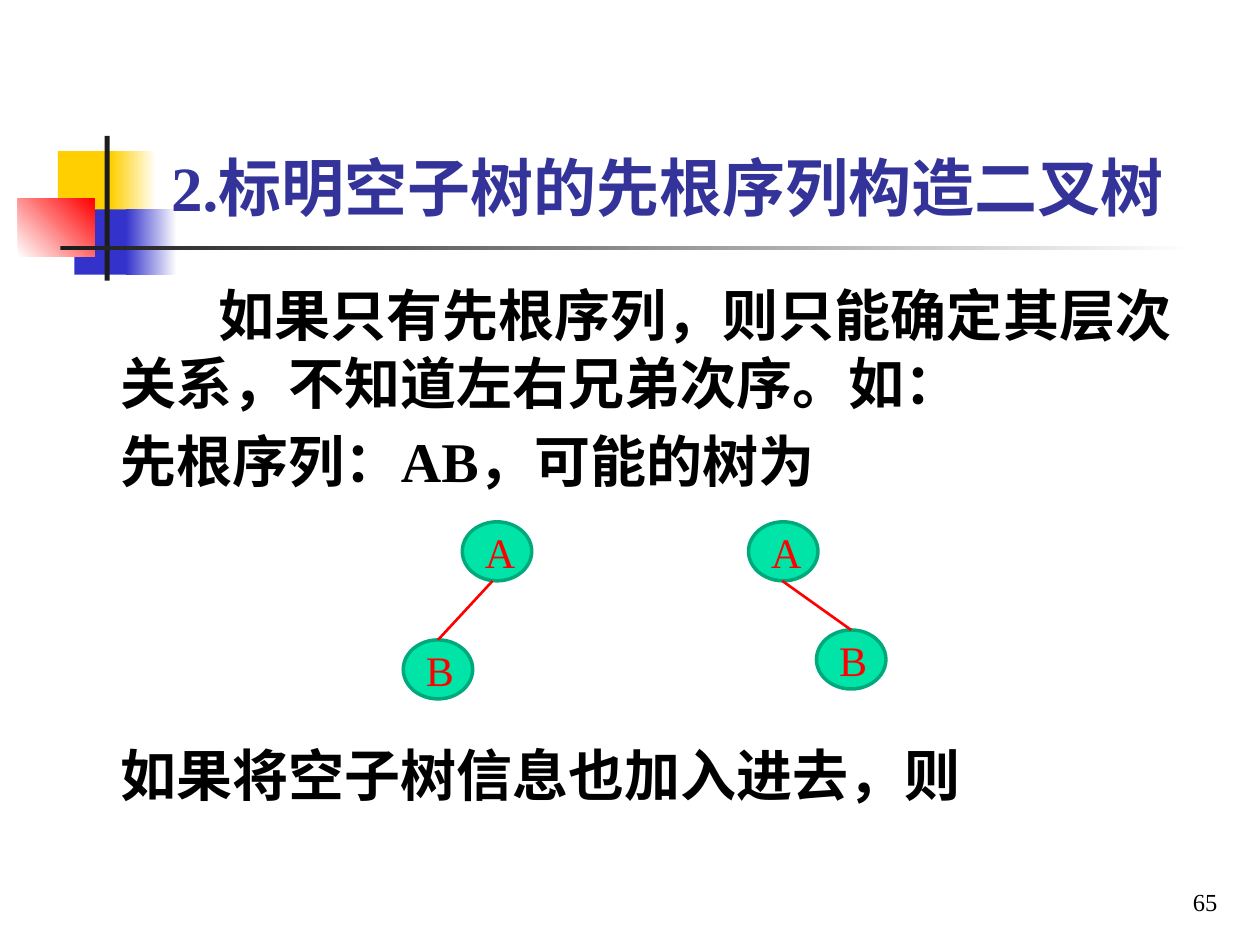
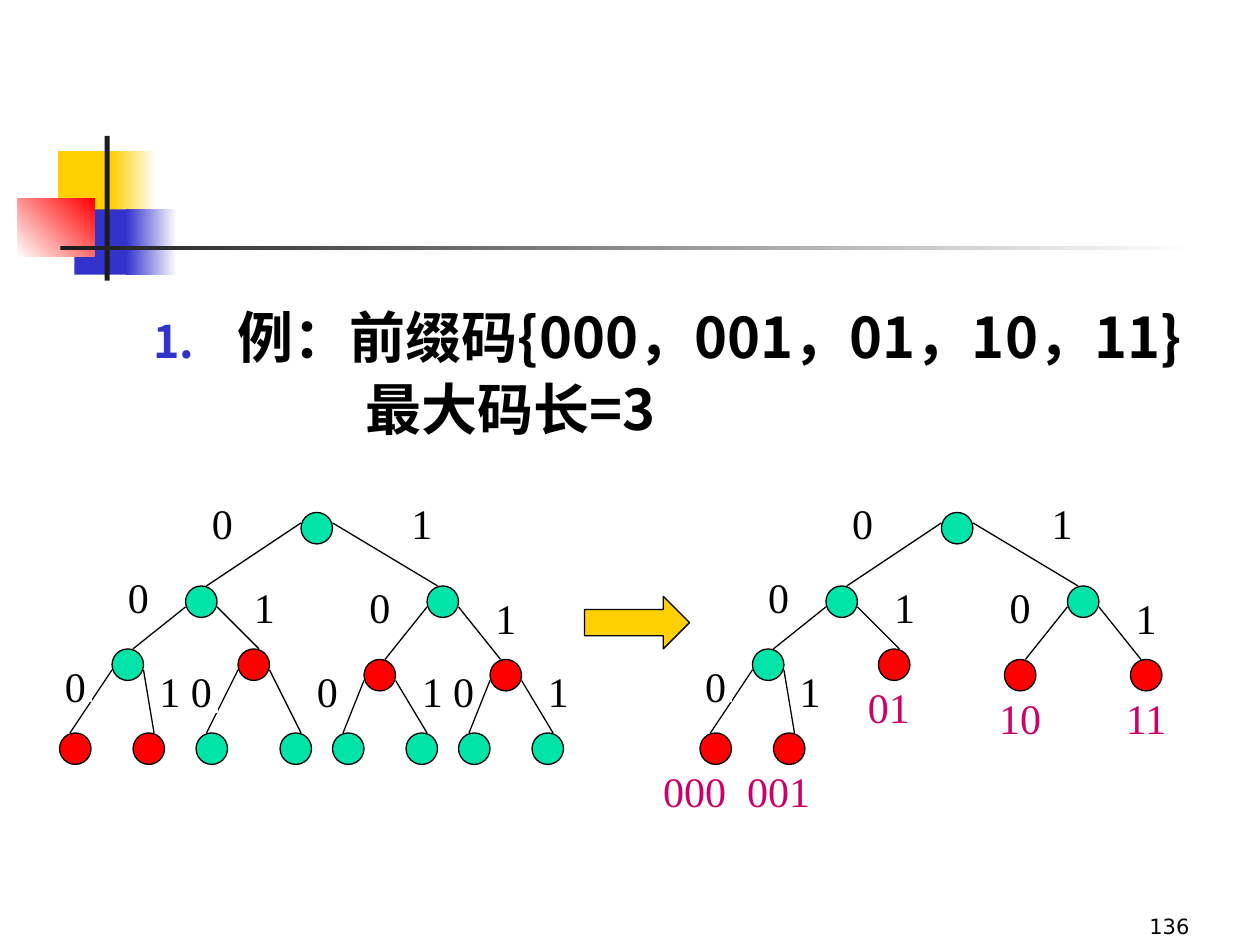
from lxml import etree
from pptx import Presentation
from pptx.dml.color import RGBColor
from pptx.enum.shapes import MSO_CONNECTOR, MSO_SHAPE
from pptx.enum.text import MSO_ANCHOR, PP_ALIGN
from pptx.oxml.ns import qn
from pptx.util import Cm, Pt

RECT, OVAL, ARROW = MSO_SHAPE.RECTANGLE, MSO_SHAPE.OVAL, MSO_SHAPE.RIGHT_ARROW
STRAIGHT = MSO_CONNECTOR.STRAIGHT
TOP, MIDDLE, BOTTOM = MSO_ANCHOR.TOP, MSO_ANCHOR.MIDDLE, MSO_ANCHOR.BOTTOM
LEFT, CENTER, RIGHT = PP_ALIGN.LEFT, PP_ALIGN.CENTER, PP_ALIGN.RIGHT


class Theme:
    serif, sans, page_sans = "Times New Roman", "Noto Sans CJK SC", "DejaVu Sans"
    black, white, dark = "000000", "FFFFFF", "1C1C1C"
    yellow, blue, red = "FFCF01", "3333CC", "FF0000"
    title, node, node_edge, code = "333399", "00E4A8", "00A97C", "CC0066"
    title_size, body_size, label_size, page_size, small_page_size = 36, 32, 24, 14, 12
    thin, edge, outline = 0.75, 1.5, 2


def add(s, kind, x, y, w, h, text=None, *, fill=None, angle=0, line=None,
        line_width=Theme.thin, size=Theme.label_size, color=Theme.black,
        font=Theme.serif, bold=False, align=CENTER, anchor=MIDDLE, wrap=True,
        spacing=None):
    """Add a shape, or a text box if kind is None; lengths in cm.

    fill is a colour or a pair of gradient colours. text is a string or a list
    of (text, left margin, first-line indent, points before) paragraphs.
    """
    box = [Cm(v) for v in (x, y, w, h)]
    if kind is None:
        sp = s.shapes.add_textbox(*box)
    else:
        sp = s.shapes.add_shape(kind, *box)
        sp.shadow.inherit = False
        if isinstance(fill, tuple):
            sp.fill.gradient()
            sp.fill.gradient_angle = angle
            for stop, stop_color in zip(sp.fill.gradient_stops, fill):
                stop.color.rgb = RGBColor.from_string(stop_color)
        else:
            sp.fill.solid()
            sp.fill.fore_color.rgb = RGBColor.from_string(fill)
        if line:
            sp.line.color.rgb = RGBColor.from_string(line)
            sp.line.width = Pt(line_width)
        else:
            sp.line.fill.background()
    if text is None:
        return sp

    tf = sp.text_frame
    tf.word_wrap = wrap
    tf.vertical_anchor = anchor
    paragraphs = [(text, 0, 0, 0)] if isinstance(text, str) else text
    for i, (words, margin, indent, before) in enumerate(paragraphs):
        p = tf.paragraphs[0] if i == 0 else tf.add_paragraph()
        p.alignment = align
        p.space_before = Pt(before)
        if spacing:
            p.line_spacing = Pt(spacing)
        pPr = p._p.get_or_add_pPr()
        pPr.set("marL", str(Cm(margin)))
        pPr.set("indent", str(Cm(indent)))
        r = p.add_run()
        r.text = words
        r.font.size = Pt(size)
        r.font.bold = bold
        r.font.color.rgb = RGBColor.from_string(color)
        r.font.name = font
        etree.SubElement(r.font._element, qn("a:ea"), typeface=Theme.sans)
    return sp


def connect(s, x1, y1, x2, y2, color=Theme.black, width=Theme.thin):
    c = s.shapes.add_connector(STRAIGHT, Cm(x1), Cm(y1), Cm(x2), Cm(y2))
    c.line.color.rgb = RGBColor.from_string(color)
    c.line.width = Pt(width)
    etree.SubElement(c._element.spPr, qn("a:effectLst"))
    return c


prs = Presentation()
prs.slide_width, prs.slide_height = Cm(25.4), Cm(19.05)
blank = prs.slide_layouts[6]
for ph in list(blank.placeholders):
    ph.element.getparent().remove(ph.element)

# Shared decoration, moved to the layout
s = prs.slides.add_slide(blank)
for x, y, w, h, fill, angle in [
    (1.17, 3.05, 1.22, 1.32, Theme.yellow, 0),
    (2.24, 3.05, 0.91, 1.32, (Theme.yellow, Theme.white), 0),
    (1.5, 4.22, 1.17, 1.32, Theme.blue, 0),
    (2.54, 4.22, 1.02, 1.32, (Theme.blue, Theme.white), 0),
    (0.36, 4.01, 1.55, 1.17, (Theme.white, Theme.red), 45),
    (2.11, 2.74, 0.1, 2.92, Theme.dark, 0),
    (1.22, 4.95, 22.86, 0.1, (Theme.dark, Theme.white), 0),
]:
    sp = add(s, RECT, x, y, w, h, fill=fill, angle=angle)
    blank.element.cSld.spTree.append(sp.element)

# Slide 1: a preorder sequence alone does not fix the tree
add(s, None, 3.2, 2.31, 21.64, 2.34, "2.标明空子树的先根序列构造二叉树",
    size=Theme.title_size, color=Theme.title, bold=True, align=LEFT, anchor=BOTTOM)
add(s, None, 2.18, 5.54, 22.71, 11.43, [
    ("如果只有先根序列，则只能确定其层次关系，不知道左右兄弟次序。如：", 0, 1.98, 6.4),
    ("先根序列：AB，可能的树为", 0, 0, 6.4),
    ("如果将空子树信息也加入进去，则", 0, 0, 141),
], size=Theme.body_size, bold=True, align=LEFT, anchor=TOP, spacing=38.4)

NODE_W, NODE_H, ROOT_Y = 1.4, 1.19, 10.52
for root_x, child_x, child_y, edge_x in [(9.32, 8.13, 12.9, 9.93),
                                         (15.09, 16.46, 12.7, 15.77)]:
    for name, x, y in [("A", root_x, ROOT_Y), ("B", child_x, child_y)]:
        node = add(s, OVAL, x, y, NODE_W, NODE_H, name, fill=Theme.node,
                   line=Theme.node_edge, line_width=Theme.outline, color=Theme.red)
    c = connect(s, edge_x, ROOT_Y + NODE_H, child_x + NODE_W / 2, child_y,
                Theme.red, Theme.edge)
    c.end_connect(node, 0)
add(s, None, 19.51, 17.32, 5.28, 1.27, "65", size=Theme.page_size,
    align=RIGHT, anchor=BOTTOM)

# Slide 2: prefix code, full tree and pruned tree
s = prs.slides.add_slide(blank)
body = add(s, None, 2.84, 6.12, 22.02, 3.07, [
    ("例：前缀码{000，001，01，10，11}", 1.7, -1.7, 6.4),
    ("最大码长=3", 4.27, 0, 6.4),
], size=Theme.body_size, font=Theme.sans, bold=True, align=LEFT, anchor=TOP,
    spacing=34.5)
pPr = body.text_frame.paragraphs[0]._p.get_or_add_pPr()
bullet_color = etree.SubElement(pPr, qn("a:buClr"))
etree.SubElement(bullet_color, qn("a:srgbClr"), val=Theme.blue)
etree.SubElement(pPr, qn("a:buSzPct"), val="80000")
etree.SubElement(pPr, qn("a:buAutoNum"), type="arabicPeriod")

# Trees lie on a grid of 1/12 inch; a node's key is its path from the root
U = 2.54 / 12
TREE_Y = 10.33
LEFT_X, RIGHT_X = 1.2, 14.11
DOT = 3
# path: (x, y, where the edge meets the node)
nodes = {
    "": (23, 0, 0),
    "0": (12, 7, 2), "1": (35, 7, 1),
    "00": (5, 13, 2), "01": (17, 13, 2), "10": (29, 14, 2), "11": (41, 14, 1),
    "000": (0, 21, 1), "001": (7, 21, 2), "010": (13, 21, 1), "011": (21, 21, 2),
    "100": (26, 21, 1), "101": (33, 21, 2), "110": (38, 21, 1), "111": (45, 21, 2),
}
# path: (x, y, width, height) of the bit beside the edge
bits = {
    "0": (14, -1, 3, 4), "1": (33, -1, 3, 4),
    "00": (6, 6, 3, 4), "01": (18, 7, 3, 4), "10": (29, 7, 3, 4), "11": (41, 8, 3, 4),
    "000": (0, 15, 3, 3), "001": (9, 15, 3, 4), "010": (12, 15, 3, 4),
    "100": (24, 15, 3, 4), "101": (34, 15, 3, 4), "110": (38, 15, 1, 4),
    "111": (46, 15, 3, 4),
}
# code word: (x, y, width) of its caption
codes = {"000": (-2, 25, 3), "001": (6, 25, 3), "01": (16, 17, 4),
         "10": (29, 18, 3), "11": (41, 18, 3)}
pruned = [path for path in nodes if any(code.startswith(path) for code in codes)]

for tree_x, paths in [(LEFT_X, list(nodes)), (RIGHT_X, pruned)]:
    for path in paths:
        x, y, _ = nodes[path]
        add(s, OVAL, tree_x + x * U, TREE_Y + y * U, DOT * U, DOT * U,
            fill=Theme.red if path in codes else Theme.node, line=Theme.black)
    for path in paths[1:]:
        x, y, foot = nodes[path]
        parent = path[:-1]
        px, py, _ = nodes[parent]
        start_x = px + (DOT if path[-1] == "1" else 0)
        start_y = py + (2 if parent else 1)
        connect(s, tree_x + start_x * U, TREE_Y + start_y * U,
                tree_x + (x + foot) * U, TREE_Y + y * U)
    for path in paths:
        if path in bits:
            x, y, w, h = bits[path]
            add(s, RECT, tree_x + x * U, TREE_Y + y * U, w * U, h * U, path[-1],
                fill=Theme.white, line=Theme.white, wrap=False)

for code, (x, y, w) in codes.items():
    add(s, RECT, RIGHT_X + x * U, TREE_Y + y * U, w * U, 3 * U, code,
        fill=Theme.white, line=Theme.white, color=Theme.code, wrap=False)
add(s, ARROW, LEFT_X + 50 * U, TREE_Y + 8 * U, 10 * U, 5 * U,
    fill=Theme.yellow, line=Theme.black)
add(s, None, 22.05, 18.44, 3.05, 0.61, "136", size=Theme.small_page_size,
    font=Theme.page_sans, anchor=BOTTOM)

prs.save("out.pptx")
